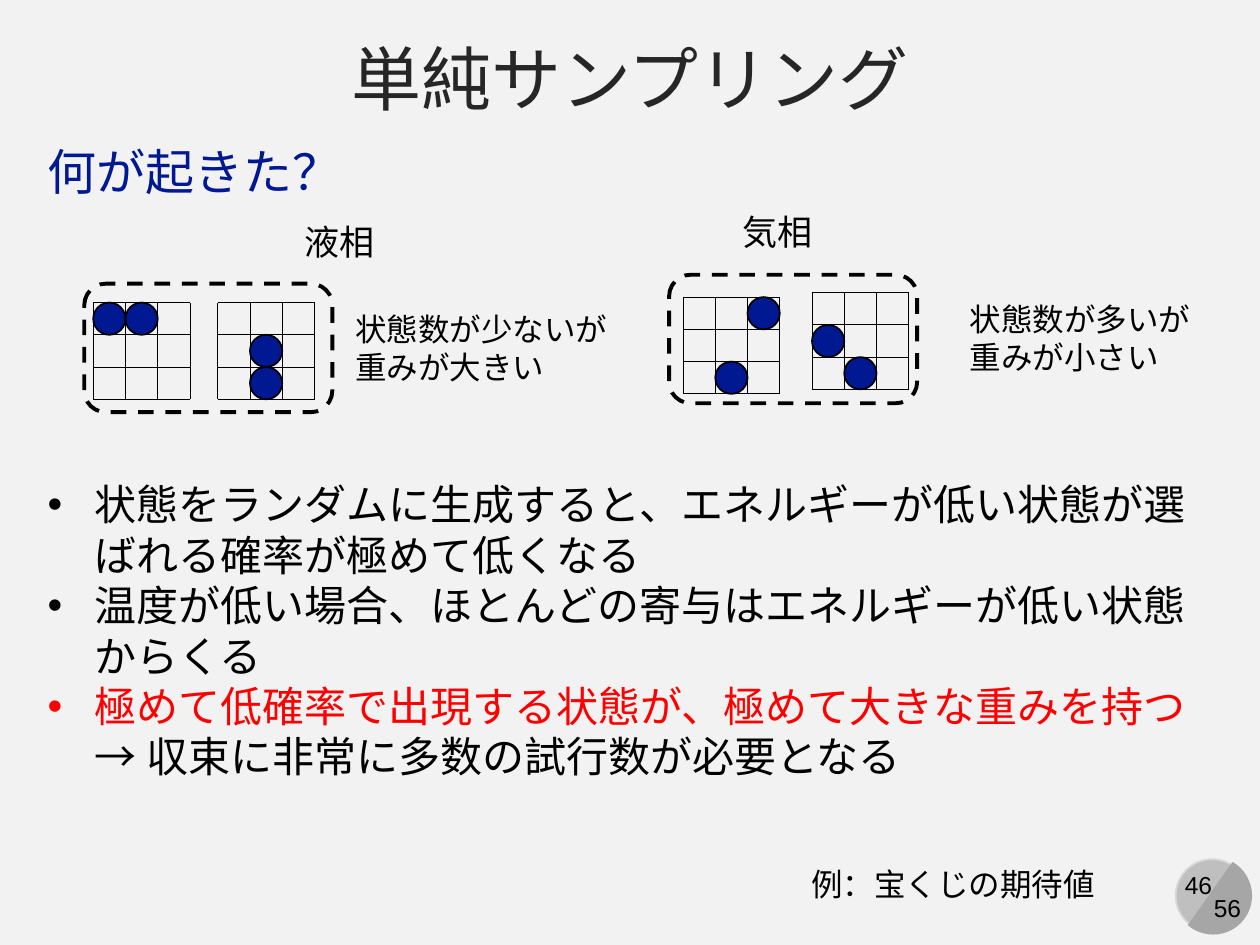
import pptx
import pptx.dml.color
import pptx.enum.dml
import pptx.enum.shapes
import pptx.enum.text
import pptx.oxml.xmlchemy
import pptx.util
from pptx.util import Cm

ALIGN = pptx.enum.text.PP_ALIGN
ANCHOR = pptx.enum.text.MSO_ANCHOR
SHAPE = pptx.enum.shapes.MSO_SHAPE
NAVY, BLACK = "011893", "000000"
CELL = 0.65
GRID_CELLS = 3


def color(hex_string):
    return pptx.dml.color.RGBColor.from_string(hex_string)


def apply_format(target, values):
    for name, value in values.items():
        setattr(target, name, value)


def add_text(slide, box, paragraphs, size, hex_color=BLACK, wrap=False,
             align=ALIGN.LEFT, anchor=ANCHOR.TOP, grow=True):
    shape = slide.shapes.add_textbox(*map(Cm, box))
    sizing = pptx.enum.text.MSO_AUTO_SIZE
    apply_format(shape.text_frame, {
        "word_wrap": wrap,
        "auto_size": sizing.SHAPE_TO_FIT_TEXT if grow else sizing.NONE,
        "vertical_anchor": anchor,
    })
    for index, text in enumerate(paragraphs):
        frame = shape.text_frame
        paragraph = frame.add_paragraph() if index else frame.paragraphs[0]
        paragraph.alignment = align
        run = paragraph.add_run()
        run.text = text
        apply_format(run.font, {"name": "Arial", "size": pptx.util.Pt(size)})
        run.font.color.rgb = color(hex_color)
    return shape


def add_filled_shape(shapes, kind, box, fill=None, line=None, width=1):
    shape = shapes.add_shape(kind, *map(Cm, box))
    shape.shadow.inherit = False
    if fill:
        shape.fill.solid()
        shape.fill.fore_color.rgb = color(fill)
    else:
        shape.fill.background()
    if line:
        shape.line.color.rgb = color(line)
        shape.line.width = pptx.util.Pt(width)
    else:
        shape.line.fill.background()
    return shape


def add_grid_line(shapes, start, end):
    straight = pptx.enum.shapes.MSO_CONNECTOR.STRAIGHT
    line = shapes.add_connector(straight, *map(Cm, start + end))
    line.line.color.rgb = color(BLACK)
    line.line.width = pptx.util.Pt(0.5)
    properties = line._element.spPr
    properties.append(pptx.oxml.xmlchemy.OxmlElement("a:effectLst"))


def add_lattice(shapes, left, top, particles):
    """Draw a square lattice with particles at (column, row) cells."""
    side = GRID_CELLS * CELL
    for index in range(GRID_CELLS + 1):
        offset = index * CELL
        add_grid_line(shapes, (left + offset, top), (left + offset, top + side))
        add_grid_line(shapes, (left, top + offset), (left + side, top + offset))
    for column, row in particles:
        box = (left + column * CELL, top + row * CELL, CELL, CELL)
        add_filled_shape(shapes, SHAPE.OVAL, box, NAVY, BLACK)


def add_phase(slide, box, lattices, name, name_offset, note, note_offset):
    """Draw a dashed frame of lattices with its name and note."""
    left, top, width, height = box
    shapes = slide.shapes.add_group_shape().shapes
    for offset_x, offset_y, particles in lattices:
        add_lattice(shapes, left + offset_x, top + offset_y, particles)
    frame = add_filled_shape(shapes, SHAPE.ROUNDED_RECTANGLE, box,
                             line=BLACK, width=2.25)
    frame.line.dash_style = pptx.enum.dml.MSO_LINE.DASH
    for texts, (x, y, text_width, text_height), size in (
            (note, note_offset, 18), ([name], name_offset, 20)):
        add_text(slide, (left + x, top + y, text_width, text_height), texts, size)


def add_bullets(slide, box):
    shape = add_text(slide, box, [
        "状態をランダムに生成すると、エネルギーが低い状態が選ばれる確率が極めて低くなる",
        "温度が低い場合、ほとんどの寄与はエネルギーが低い状態からくる",
        "極めて低確率で出現する状態が、極めて大きな重みを持つ",
        "→ 収束に非常に多数の試行数が必要となる",
    ], 24, wrap=True)
    paragraphs = shape.text_frame.paragraphs
    indent = Cm(0.95)
    for paragraph in paragraphs:
        paragraph._p.get_or_add_pPr().set("marL", str(indent))
    for paragraph in paragraphs[:-1]:
        properties = paragraph._p.get_or_add_pPr()
        properties.set("indent", str(-indent))
        for tag, attribute, value in (("a:buFont", "typeface", "Arial"),
                                      ("a:buChar", "char", "•")):
            element = pptx.oxml.xmlchemy.OxmlElement(tag)
            element.set(attribute, value)
            properties.append(element)
    paragraphs[2].runs[0].font.color.rgb = color("FF0000")


def add_page_badge(slide, box):
    left, top, width, height = box
    add_filled_shape(slide.shapes, SHAPE.OVAL,
                     (left + 0.03, top + 0.05, 1.47, 1.47), "BFBFBF", "D9D9D9")
    add_text(slide, (left - 0.07, top + 0.15, 1.12, 0.86), ["46"], 14,
             align=ALIGN.CENTER)
    chord = add_filled_shape(slide.shapes, SHAPE.CHORD, box, "A6A6A6")
    chord.rotation = 255
    chord.adjustments[0] = 27
    chord.adjustments[1] = 141.42
    add_text(slide, (left + 0.54, top + 0.61, 1.07, 0.86), ["56"], 14,
             align=ALIGN.CENTER)


def main():
    presentation = pptx.Presentation()
    apply_format(presentation, {"slide_width": Cm(25.4), "slide_height": Cm(19.05)})
    slide = presentation.slides.add_slide(presentation.slide_layouts[6])
    slide.background.fill.solid()
    slide.background.fill.fore_color.rgb = color("F2F2F2")

    add_page_badge(slide, (23.67, 17.27, 1.57, 1.57))
    add_text(slide, (0, 0.53, 25.4, 2.08), ["単純サンプリング"], 40, "262626",
             wrap=True, align=ALIGN.CENTER, anchor=ANCHOR.MIDDLE, grow=False)
    add_text(slide, (0.71, 2.72, 6.5, 1.45), ["何が起きた？"], 28, NAVY)
    add_bullets(slide, (0.71, 9.53, 23.8, 6.4))
    add_phase(slide, (1.7, 5.72, 5, 2.59),
              [(0.18, 0.38, [(0, 0), (1, 0)]), (2.69, 0.38, [(1, 1), (1, 2)])],
              "液相", (4.19, -1.4, 1.93, 1.12),
              ["状態数が少ないが", "重みが大きい"], (5.21, 0.4, 5.64, 1.8))
    add_phase(slide, (13.49, 5.54, 5, 2.59),
              [(0.28, 0.45, [(2, 0), (1, 2)]), (2.88, 0.36, [(0, 1), (1, 2)])],
              "気相", (1.22, -1.43, 1.93, 1.12),
              ["状態数が多いが", "重みが小さい"], (5.81, 0.38, 5, 1.8))
    add_text(slide, (16.1, 17.32, 6.27, 1.02), ["例：宝くじの期待値"], 18)
    presentation.save("out.pptx")


if __name__ == "__main__":
    main()
